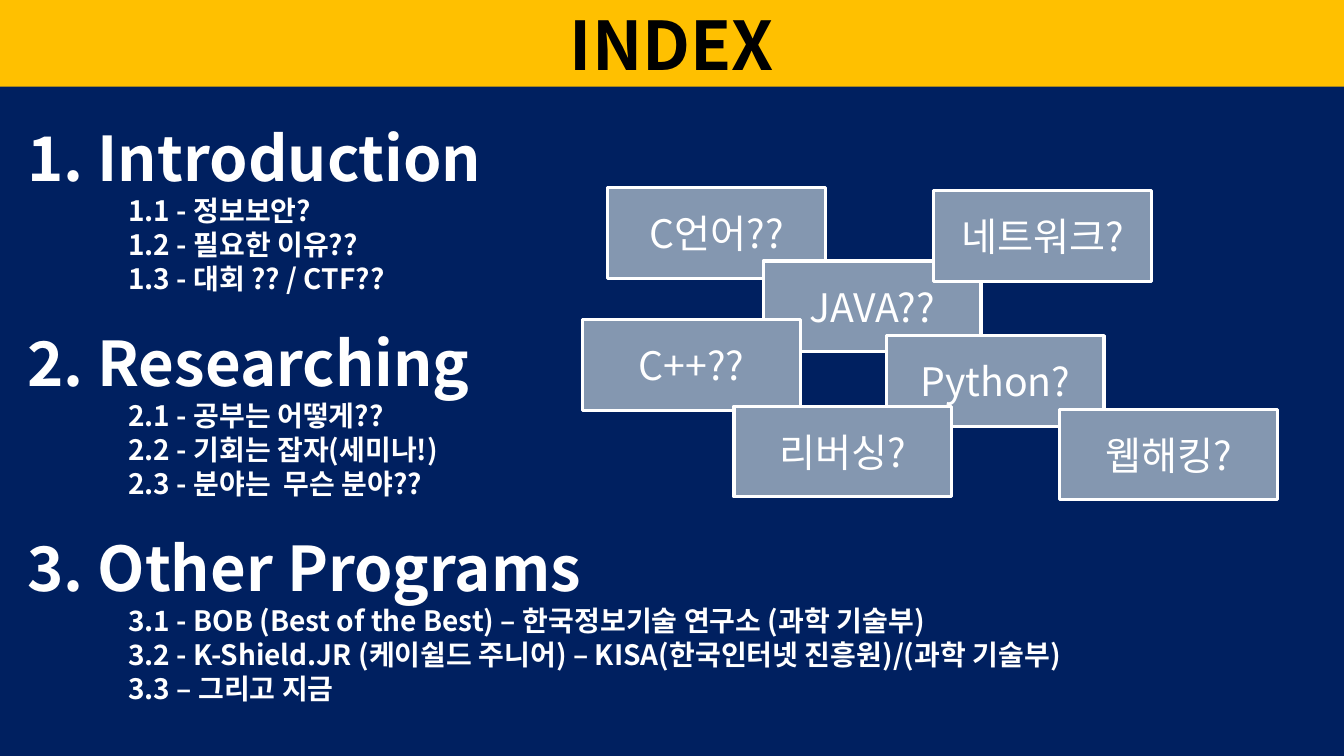
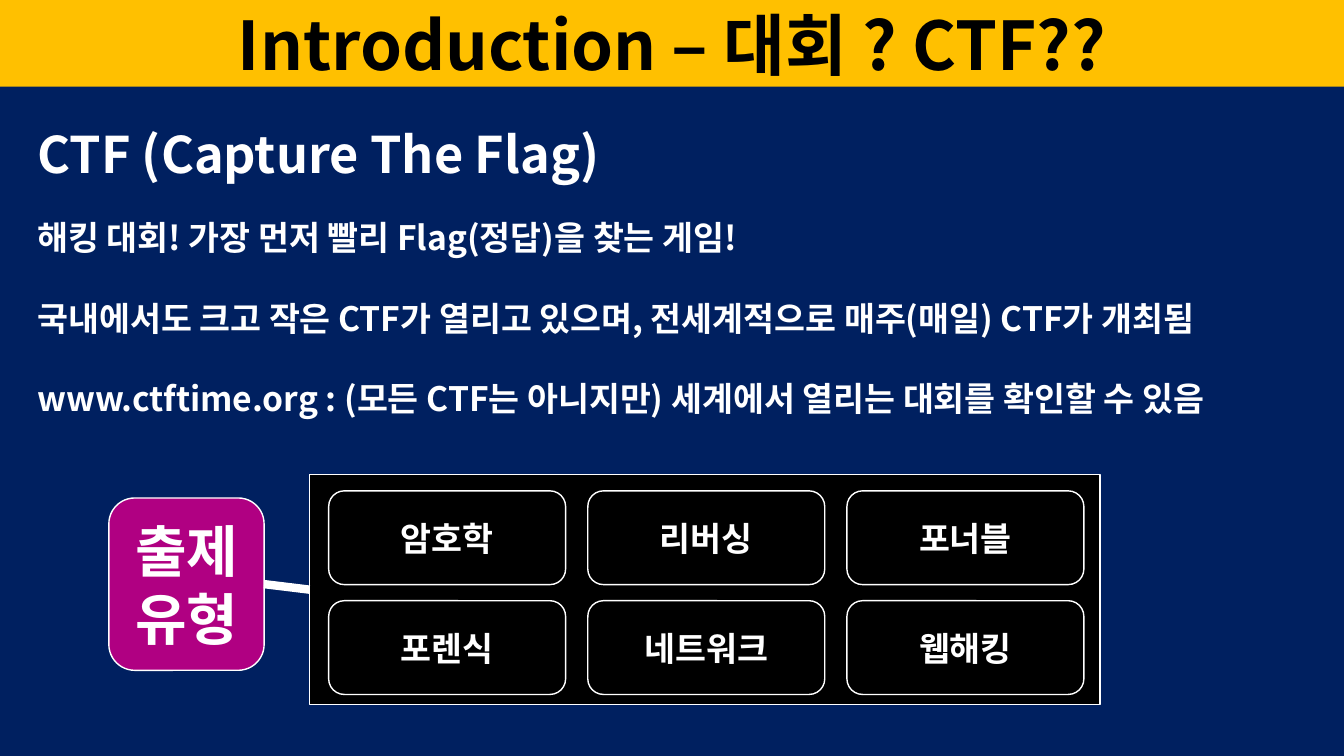
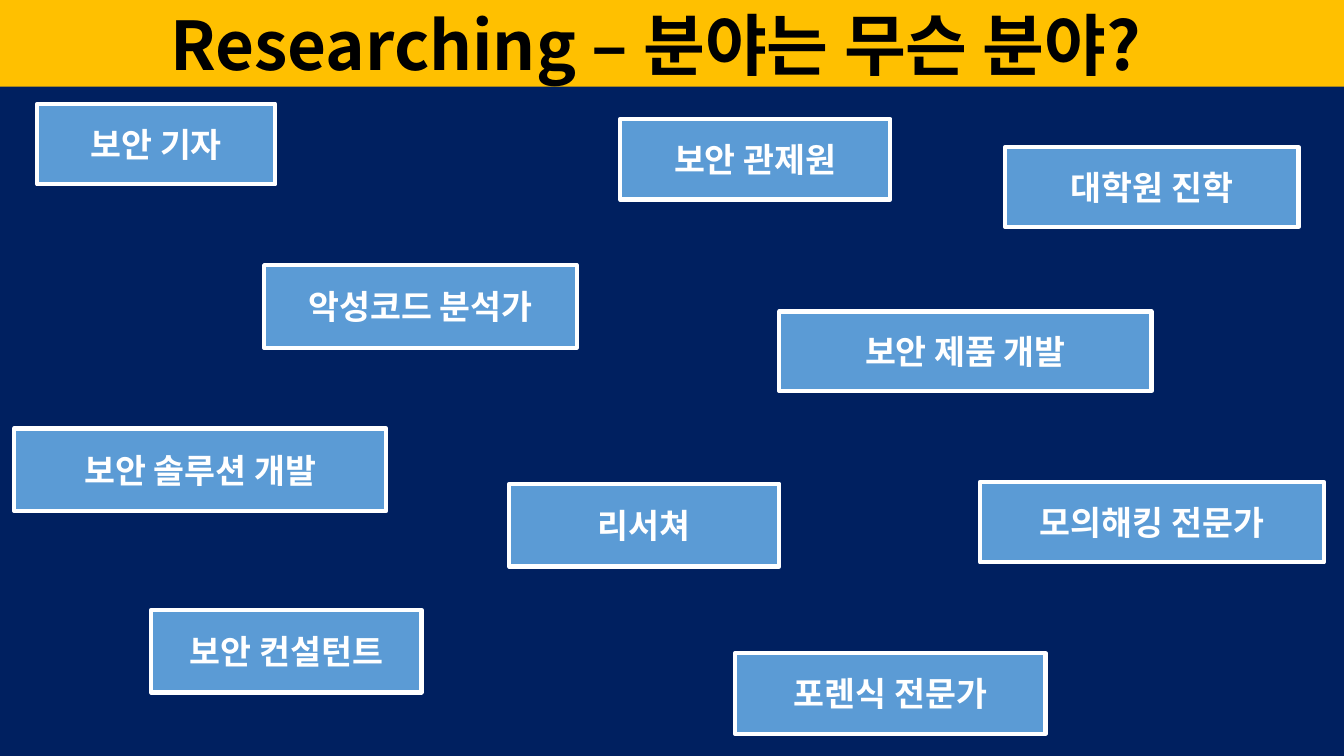
from pptx import Presentation
from pptx.dml.color import RGBColor
from pptx.enum.shapes import MSO_CONNECTOR, MSO_SHAPE
from pptx.enum.text import MSO_ANCHOR, MSO_AUTO_SIZE, PP_ALIGN
from pptx.oxml.xmlchemy import OxmlElement
from pptx.util import Inches, Pt

RECTANGLE = MSO_SHAPE.RECTANGLE
ROUNDED = MSO_SHAPE.ROUNDED_RECTANGLE
STRAIGHT = MSO_CONNECTOR.STRAIGHT
MIDDLE = MSO_ANCHOR.MIDDLE
TOP = MSO_ANCHOR.TOP
NO_AUTOFIT = MSO_AUTO_SIZE.NONE
CENTER = PP_ALIGN.CENTER
LEFT = PP_ALIGN.LEFT

FONT = "Noto Sans CJK KR"
LINE_HEIGHT = 1.2
COLORS = {
    "navy": "002060",
    "gold": "FFC000",
    "white": "FFFFFF",
    "black": "000000",
    "slate": "8497B0",
    "magenta": "B00082",
    "blue": "5B9BD5",
}
COLORS = {name: RGBColor.from_string(value) for name, value in COLORS.items()}


def style_paragraph(paragraph, size, color="white", bold=True, align=CENTER, gap=0):
    paragraph.alignment = align
    paragraph.line_spacing = Pt(round(size * LINE_HEIGHT, 1))
    paragraph.space_before = Pt(gap)
    paragraph.space_after = Pt(0)
    for run in paragraph.runs:
        run.font.size = Pt(size)
        run.font.bold = bold
        run.font.color.rgb = COLORS[color]
        run.font.name = FONT
        east_asian = OxmlElement("a:ea")
        east_asian.set("typeface", FONT)
        run.font._element.find("{*}latin").addnext(east_asian)


def add_box(slide, kind, place, text, fill, line_width, size=24, bold=True):
    shape = slide.shapes.add_shape(kind, *[Inches(value) for value in place])
    shape.shadow.inherit = False
    shape.fill.solid()
    shape.fill.fore_color.rgb = COLORS[fill]
    shape.line.color.rgb = COLORS["white"]
    shape.line.width = Pt(line_width)
    shape.text_frame.text = text
    shape.text_frame.vertical_anchor = MIDDLE
    for paragraph in shape.text_frame.paragraphs:
        style_paragraph(paragraph, size, bold=bold)
    return shape


presentation = Presentation()
presentation.slide_width = Inches(13.33)
presentation.slide_height = Inches(7.5)
background = presentation.slide_master.background.fill
background.solid()
background.fore_color.rgb = COLORS["navy"]
content_layout = presentation.slide_layouts[1]
title_layout = presentation.slide_layouts[5]

slides = []
for layout, heading in [
    (content_layout, "INDEX"),
    (content_layout, "Introduction – 대회 ? CTF??"),
    (title_layout, "Researching – 분야는 무슨 분야?"),
]:
    slide = presentation.slides.add_slide(layout)
    title = slide.shapes.title
    title.left, title.top = Inches(0), Inches(0)
    title.width, title.height = Inches(13.33), Inches(0.86)
    title.fill.solid()
    title.fill.fore_color.rgb = COLORS["gold"]
    title.text_frame.text = heading
    title.text_frame.auto_size = NO_AUTOFIT
    title.text_frame.vertical_anchor = MIDDLE
    title.text_frame.margin_top = title.text_frame.margin_bottom = Inches(0)
    style_paragraph(title.text_frame.paragraphs[0], 48, "black")
    slides.append(slide)
index_slide, contest_slide, careers_slide = slides
careers_slide.shapes.title.text_frame.margin_right = Inches(0.42)

index_lines = []
for number, (section, topics) in enumerate([
    ("1. Introduction", [
        "1.1 - 정보보안?",
        "1.2 - 필요한 이유??",
        "1.3 - 대회 ?? / CTF??",
    ]),
    ("2. Researching", [
        "2.1 - 공부는 어떻게??",
        "2.2 - 기회는 잡자(세미나!)",
        "2.3 - 분야는  무슨 분야??",
    ]),
    ("3. Other Programs", [
        "3.1 - BOB (Best of the Best) – 한국정보기술 연구소 (과학 기술부)",
        "3.2 - K-Shield.JR (케이쉴드 주니어) – KISA(한국인터넷 진흥원)/(과학 기술부)",
        "3.3 – 그리고 지금",
    ]),
]):
    index_lines.append((section, 44, 0, 21.6 if number else 0))
    index_lines += [(topic, 20, 1, 0) for topic in topics]

contest_lines = [
    ("CTF (Capture The Flag)", 36, 0, 0),
    ("해킹 대회! 가장 먼저 빨리 Flag(정답)을 찾는 게임!", 24, 0, 24),
    ("국내에서도 크고 작은 CTF가 열리고 있으며, 전세계적으로 매주(매일) CTF가 개최됨", 24, 0, 28.8),
    ("www.ctftime.org : (모든 CTF는 아니지만) 세계에서 열리는 대회를 확인할 수 있음", 24, 0, 28.8),
]

for slide, place, lines in [
    (index_slide, (0.17, 1.14, 12.87, 5.96), index_lines),
    (contest_slide, (0.27, 1.17, 12.92, 3.13), contest_lines),
]:
    body = slide.placeholders[1]
    body.left, body.top, body.width, body.height = [Inches(value) for value in place]
    body.text_frame.text = "\n".join(line[0] for line in lines)
    body.text_frame.auto_size = NO_AUTOFIT
    body.text_frame.vertical_anchor = TOP
    for paragraph, (text, size, level, gap) in zip(body.text_frame.paragraphs, lines):
        paragraph.level = level
        properties = paragraph._p.get_or_add_pPr()
        properties.set("marL", str(Inches(level)))
        properties.set("indent", "0")
        properties.append(OxmlElement("a:buNone"))
        style_paragraph(paragraph, size, align=LEFT, gap=gap)

for left, top, subject in [
    (6.03, 1.86, "C언어??"),
    (7.57, 2.59, "JAVA??"),
    (8.79, 3.33, "Python?"),
    (10.51, 4.06, "웹해킹?"),
    (5.78, 3.17, "C++??"),
    (7.28, 4.03, "리버싱?"),
    (9.26, 1.89, "네트워크?"),
]:
    add_box(index_slide, RECTANGLE, (left, top, 2.16, 0.9), subject, "slate", 2.25, 28, False)

badge = add_box(contest_slide, ROUNDED, (1.08, 4.94, 1.54, 1.71), "출제\n유형", "magenta", 1, 40)
panel = add_box(contest_slide, RECTANGLE, (3.07, 4.71, 7.84, 2.28), "", "black", 1)
connector = contest_slide.shapes.add_connector(STRAIGHT, 0, 0, 0, 0)
connector.begin_connect(badge, 3)
connector.end_connect(panel, 1)
connector.line.color.rgb = COLORS["white"]
connector.line.width = Pt(6)
connector._element.spPr.append(OxmlElement("a:effectLst"))

categories = ["암호학", "리버싱", "포너블", "포렌식", "네트워크", "웹해킹"]
for position, category in enumerate(categories):
    row, column = divmod(position, 3)
    place = (3.26 + 2.57 * column, 4.87 + 1.09 * row, 2.35, 0.93)
    add_box(contest_slide, ROUNDED, place, category, "black", 1)

for left, top, width, height, career in [
    (0.37, 1.03, 2.36, 0.8, "보안 기자"),
    (9.97, 1.46, 2.91, 0.79, "대학원 진학"),
    (2.62, 2.63, 3.1, 0.82, "악성코드 분석가"),
    (7.29, 6.48, 3.08, 0.8, "포렌식 전문가"),
    (9.72, 4.78, 3.41, 0.8, "모의해킹 전문가"),
    (6.15, 1.18, 2.68, 0.8, "보안 관제원"),
    (1.5, 6.05, 2.68, 0.82, "보안 컨설턴트"),
    (5.05, 4.8, 2.68, 0.82, "리서쳐"),
    (0.14, 4.25, 3.69, 0.82, "보안 솔루션 개발"),
    (7.73, 3.09, 3.69, 0.79, "보안 제품 개발"),
]:
    add_box(careers_slide, RECTANGLE, (left, top, width, height), career, "blue", 3)

presentation.save("out.pptx")
